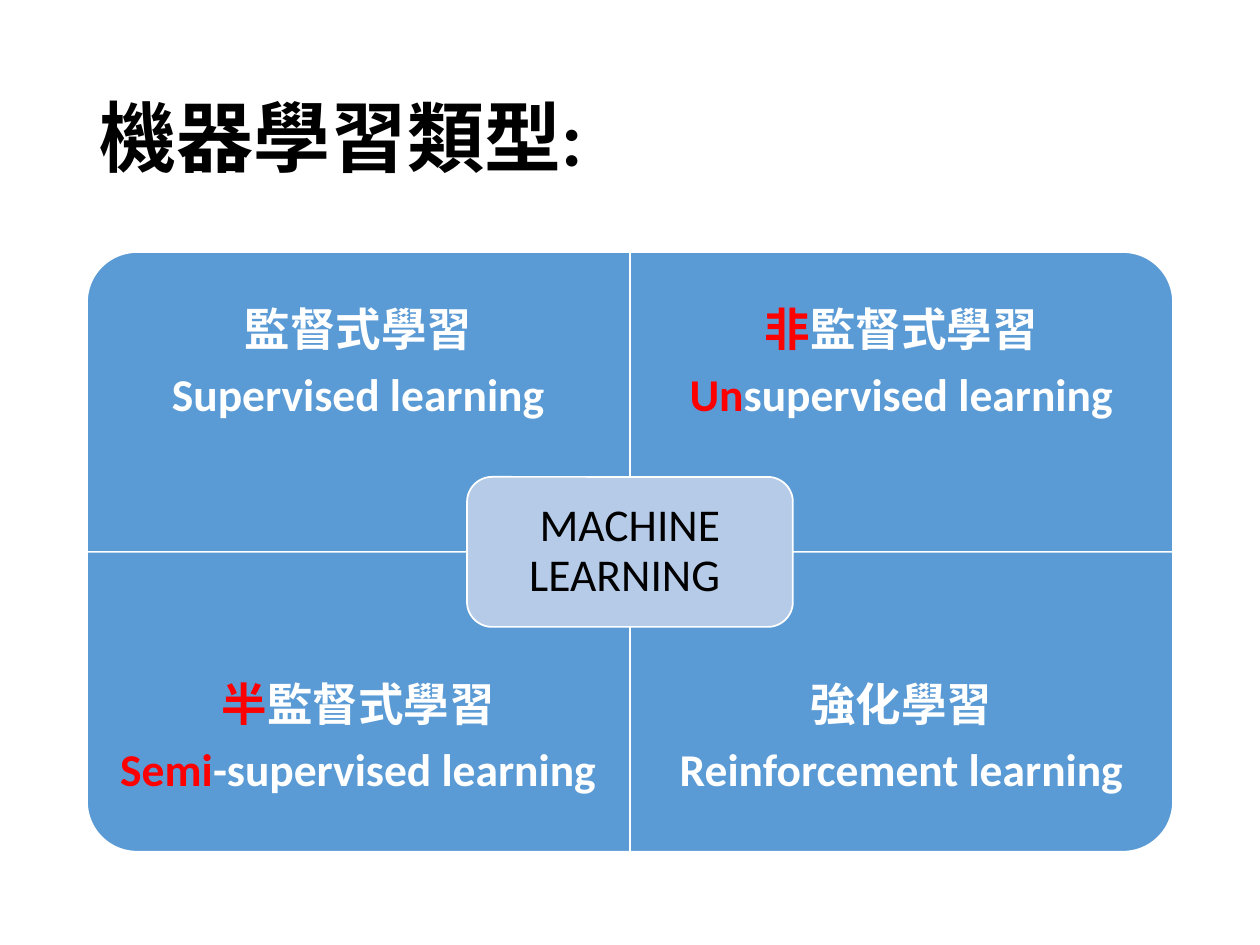
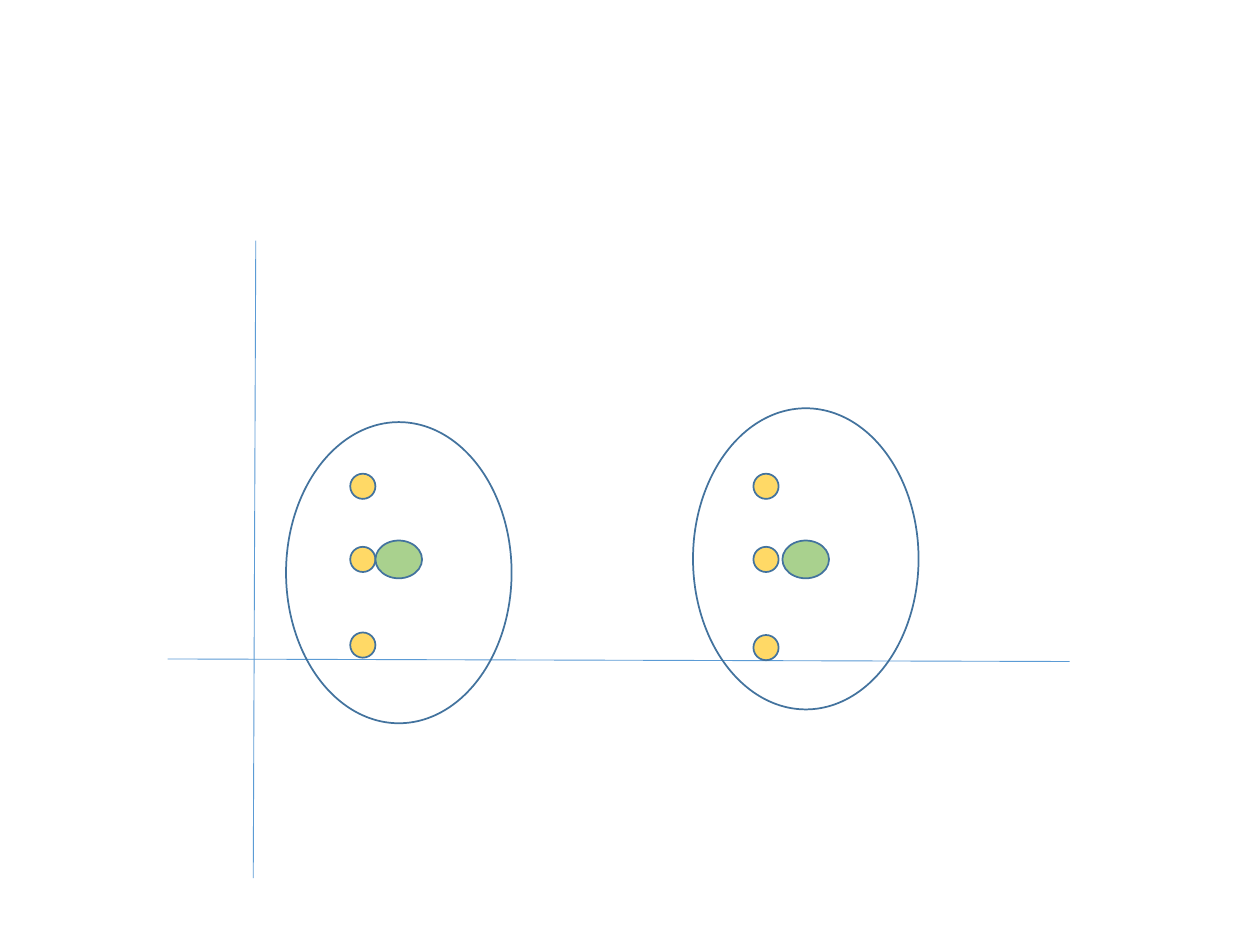
from dataclasses import dataclass
from lxml.etree import SubElement
from pptx import Presentation
from pptx.dml.color import RGBColor as RGB
from pptx.enum.shapes import MSO_CONNECTOR as LINE, MSO_SHAPE as SHAPE
from pptx.enum.text import MSO_ANCHOR as ANCHOR, PP_ALIGN as ALIGN
from pptx.oxml.ns import qn
from pptx.util import Inches, Pt


@dataclass(frozen=True)
class Theme:
    font: str = "Calibri"
    title_size: int = 44
    body_size: int = 26
    black: str = "000000"
    white: str = "FFFFFF"
    accent: str = "FF0000"
    blue: str = "5B9BD5"
    pale_blue: str = "B5CBE7"
    outline: str = "43739E"
    yellow: str = "FFD966"
    green: str = "A9D18E"


T = Theme()
W, H = 10, 7.5

TITLE = "機器學習類型: "
CENTER = "MACHINE LEARNING "
QUADRANTS = [
    (0, 0, 270, [("", "監督式學習"), ("", "Supervised learning")]),
    (1, 0, 0, [("非", "監督式學習"), ("Un", "supervised learning")]),
    (0, 1, 180, [("半", "監督式學習"), ("Semi", "-supervised learning")]),
    (1, 1, 90, [("", "強化學習"), ("", "Reinforcement learning")]),
]
AXES = [((1.33, 5.23), (8.49, 5.25)), ((2.03, 1.91), (2.01, 6.97))]
CLUSTERS = [
    {"center": (3.165, 4.545), "points_x": 2.88, "points_y": (5.12, 4.44, 3.86)},
    {"center": (6.395, 4.435), "points_x": 6.08, "points_y": (5.14, 4.44, 3.86)},
]
CENTROID_Y = 4.44
POINT, CENTROID, RING = (0.2, 0.2), (0.37, 0.3), (1.79, 2.39)


def add_shape(s, kind, center, size, fill, line, rotation=0):
    (cx, cy), (w, h) = center, size
    sp = s.shapes.add_shape(kind, Inches(cx - w / 2), Inches(cy - h / 2), Inches(w), Inches(h))
    sp.shadow.inherit = False
    sp.rotation = rotation
    if fill:
        sp.fill.solid()
        sp.fill.fore_color.rgb = RGB.from_string(fill)
    else:
        sp.fill.background()
    sp.line.color.rgb = RGB.from_string(line)
    sp.line.width = Pt(1)
    return sp


def add_text(s, box, paragraphs, size, bold, align, inset, after=0):
    tf = s.shapes.add_textbox(*map(Inches, box)).text_frame
    tf.word_wrap = True
    tf.vertical_anchor = ANCHOR.MIDDLE
    tf.margin_left = tf.margin_right = Inches(inset[0])
    tf.margin_top = tf.margin_bottom = Inches(inset[1])
    for i, runs in enumerate(paragraphs):
        p = tf.paragraphs[0] if i == 0 else tf.add_paragraph()
        p.alignment, p.line_spacing, p.space_after = align, 0.9, Pt(after)
        for text, color in runs:
            if text:
                r = p.add_run()
                r.text = text
                r.font.name, r.font.size, r.font.bold = T.font, Pt(size), bold
                r.font.color.rgb = RGB.from_string(color)


def add_line(s, start, end):
    line = s.shapes.add_connector(LINE.STRAIGHT, *map(Inches, start + end))
    line.line.color.rgb = RGB.from_string(T.blue)
    line.line.width = Pt(0.5)
    SubElement(line._element.spPr, qn("a:effectLst"))


def build_types(prs):
    s = prs.slides.add_slide(prs.slide_layouts[6])
    left, top, cell_w, cell_h = 0.69, 2, 4.31, 2.38
    text_h = cell_h * 0.75
    after = T.body_size * 0.35
    add_text(s, (left, 0.4, W - 2 * left, 1.45), [[(TITLE, T.black)]],
             T.title_size, True, ALIGN.LEFT, (0.1, 0.05))
    for col, row, rotation, lines in QUADRANTS:
        x, y = left + col * cell_w, top + row * cell_h
        size = (cell_h, cell_w) if rotation % 180 else (cell_w, cell_h)
        add_shape(s, SHAPE.ROUND_1_RECTANGLE, (x + cell_w / 2, y + cell_h / 2), size,
                  T.blue, T.white, rotation)
        paragraphs = [[(prefix, T.accent), (rest, T.white)] for prefix, rest in lines]
        add_text(s, (x, y + row * (cell_h - text_h), cell_w, text_h), paragraphs,
                 T.body_size, True, ALIGN.CENTER, (0.2, 0.2), after)
    cx, cy = left + cell_w, top + cell_h
    add_shape(s, SHAPE.ROUNDED_RECTANGLE, (cx, cy), (cell_w * 0.6, cell_h / 2),
              T.pale_blue, T.white)
    w, h = 2.47, 1.07
    add_text(s, (cx - w / 2, cy - h / 2, w, h), [[(CENTER, T.black)]],
             T.body_size, False, ALIGN.CENTER, (0.11, 0.11), after)


def build_clusters(prs):
    s = prs.slides.add_slide(prs.slide_layouts[6])
    for start, end in AXES:
        add_line(s, start, end)
    for c in CLUSTERS:
        for y in c["points_y"]:
            add_shape(s, SHAPE.FLOWCHART_CONNECTOR, (c["points_x"], y), POINT, T.yellow, T.outline)
    for c in CLUSTERS:
        add_shape(s, SHAPE.FLOWCHART_CONNECTOR, (c["center"][0], CENTROID_Y), CENTROID,
                  T.green, T.outline)
    for c in CLUSTERS:
        add_shape(s, SHAPE.OVAL, c["center"], RING, None, T.outline)


prs = Presentation()
prs.slide_width, prs.slide_height = Inches(W), Inches(H)
build_types(prs)
build_clusters(prs)
prs.save("out.pptx")
